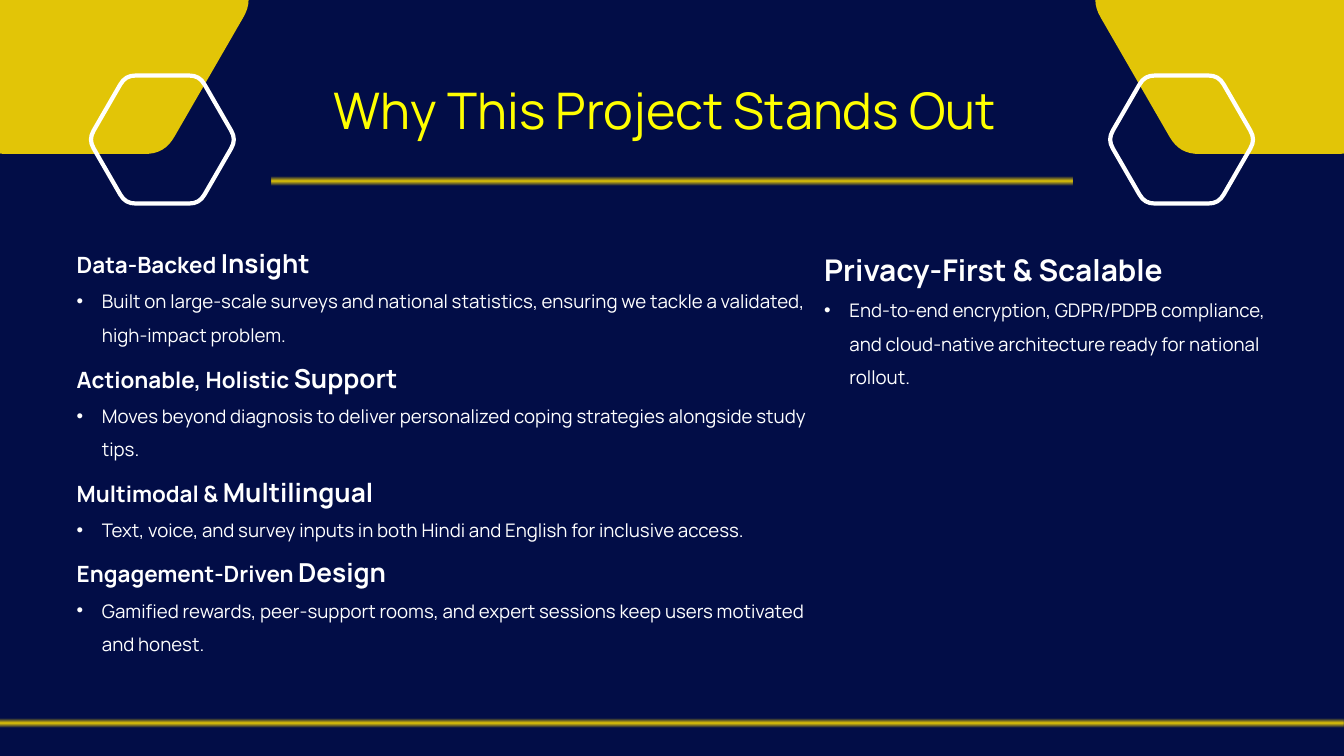
import math
from dataclasses import dataclass
from typing import Any, Optional

import lxml.etree
import pptx
import pptx.dml.color
import pptx.enum.shapes
import pptx.enum.text
import pptx.oxml.ns
import pptx.util

NAVY, GOLD, YELLOW, WHITE = "020D47", "E2C507", "FFFF00", "FFFFFF"
W, H = 1440, 810
MARGINS = ("margin_left", "margin_top", "margin_right", "margin_bottom")


@dataclass
class Hexagon:
    cx: float
    cy: float
    radius: float
    rounding: float
    fill: Optional[str] = None
    line: Optional[str] = None


@dataclass
class Bar:
    left: float
    top: float
    width: float
    height: float = 9.5


@dataclass
class Point:
    heading: list[tuple[str, float]]
    detail: str


def pt(value: float) -> int:
    return pptx.util.Pt(value)


def color(value: str) -> pptx.dml.color.RGBColor:
    return pptx.dml.color.RGBColor.from_string(value)


def apply(obj: Any, values: dict[str, Any]) -> None:
    for name, value in values.items():
        setattr(obj, name, value)


def add_node(parent: Any, tag: str, **attrs: str) -> Any:
    return lxml.etree.SubElement(parent, pptx.oxml.ns.qn(tag), attrs)


def rounded_corners(h: Hexagon) -> list[list[tuple[float, float]]]:
    corners = [(h.radius * math.cos(math.pi * i / 3),
                h.radius * math.sin(math.pi * i / 3)) for i in range(6)]
    near, far = 0.3 * h.rounding / h.radius, h.rounding / h.radius
    curves = []
    for i, corner in enumerate(corners):
        before, after = corners[i - 1], corners[(i + 1) % 6]
        curves.append([tuple(c + (n - c) * share for c, n in zip(corner, side))
                       for side, share in ((before, far), (before, near),
                                           (after, near), (after, far))])
    return curves


def draw_hexagon(s: Any, h: Hexagon) -> None:
    curves = rounded_corners(h)
    half_w = max(x for curve in curves for x, y in curve)
    half_h = max(y for curve in curves for x, y in curve)
    fb = s.shapes.build_freeform(pt(h.cx - half_w), pt(h.cy - half_h))
    fb.add_line_segments([(pt(h.cx + half_w), pt(h.cy + half_h))], close=True)
    sp = fb.convert_to_shape()
    outline = sp._element.find(".//" + pptx.oxml.ns.qn("a:path"))
    for child in list(outline):
        outline.remove(child)
    for i, curve in enumerate(curves):
        for tag, points in (("a:lnTo" if i else "a:moveTo", curve[:1]),
                            ("a:cubicBezTo", curve[1:])):
            segment = add_node(outline, tag)
            for x, y in points:
                add_node(segment, "a:pt", x=str(int(pt(x + half_w))), y=str(int(pt(y + half_h))))
    add_node(outline, "a:close")
    sp.shadow.inherit = False
    if h.fill:
        sp.fill.solid()
        sp.fill.fore_color.rgb = color(h.fill)
    else:
        sp.fill.background()
    if h.line:
        sp.line.color.rgb = color(h.line)
        sp.line.width = pt(4.5)
    else:
        sp.line.fill.background()


def draw_bar(s: Any, bar: Bar) -> None:
    sp = s.shapes.add_shape(pptx.enum.shapes.MSO_SHAPE.RECTANGLE, pt(bar.left),
                            pt(bar.top), pt(bar.width), pt(bar.height))
    sp.shadow.inherit = False
    sp.line.fill.background()
    sp.fill.gradient()
    grad = sp.fill._fill._gradFill
    for child in list(grad):
        grad.remove(child)
    stops = add_node(grad, "a:gsLst")
    for pos, alpha in ((0, 0), (50000, 100000), (100000, 0)):
        stop = add_node(stops, "a:gs", pos=str(pos))
        clr = add_node(stop, "a:srgbClr", val=GOLD)
        add_node(clr, "a:alpha", val=str(alpha))
    add_node(grad, "a:lin", ang="5400000", scaled="0")


def add_text_frame(s: Any, box: tuple, insets: tuple = (0, 0, 0, 0)) -> Any:
    tf = s.shapes.add_textbox(*map(pt, box)).text_frame
    apply(tf, {"word_wrap": True,
               "auto_size": pptx.enum.text.MSO_AUTO_SIZE.SHAPE_TO_FIT_TEXT,
               **dict(zip(MARGINS, map(pt, insets)))})
    return tf


def add_run(p: Any, text: str, size: float, rgb: str = WHITE, bold: bool = False) -> None:
    r = p.add_run()
    r.text = text
    apply(r.font, {"name": "Manrope", "size": pt(size), "bold": bold})
    r.font.color.rgb = color(rgb)


def add_bullet(p: Any) -> None:
    ppr = p._p.get_or_add_pPr()
    ppr.set("marL", str(int(pt(27))))
    ppr.set("indent", str(int(pt(-27))))
    add_node(ppr, "a:buFont", typeface="Arial")
    add_node(ppr, "a:buChar", char="•")


def fill_points(tf: Any, points: list[Point]) -> None:
    for i, point in enumerate(points):
        p = tf.add_paragraph() if i else tf.paragraphs[0]
        p.line_spacing = 1.5
        for text, size in point.heading:
            add_run(p, text, size, bold=True)
        p = tf.add_paragraph()
        add_bullet(p)
        p.line_spacing = 1.5
        add_run(p, point.detail, 20)


LEFT_POINTS = [
    Point([("Data-Backed ", 24), ("Insight", 28)],
          "Built on large-scale surveys and national statistics, ensuring we tackle "
          "a validated, high-impact problem."),
    Point([("Actionable, Holistic ", 24), ("Support", 28)],
          "Moves beyond diagnosis to deliver personalized coping strategies "
          "alongside study tips."),
    Point([("Multimodal & ", 24), ("Multilingual", 28)],
          "Text, voice, and survey inputs in both Hindi and English for inclusive access."),
    Point([("Engagement-Driven ", 24), ("Design", 28)],
          "Gamified rewards, peer-support rooms, and expert sessions keep users "
          "motivated and honest."),
]
RIGHT_POINTS = [
    Point([("Privacy-First & Scalable", 32)],
          "End-to-end encryption, GDPR/PDPB compliance, and cloud-native architecture "
          "ready for national rollout."),
]


def main() -> None:
    prs = pptx.Presentation()
    apply(prs, {"slide_width": pt(W), "slide_height": pt(H)})
    s = prs.slides.add_slide(prs.slide_layouts[6])
    s.background.fill.solid()
    s.background.fill.fore_color.rgb = color(NAVY)

    p = add_text_frame(s, (265.5, 81, 894, 66.4)).paragraphs[0]
    apply(p, {"alignment": pptx.enum.text.PP_ALIGN.CENTER, "line_spacing": pt(68.1)})
    add_run(p, "Why This Project Stands Out", 54, YELLOW)
    fill_points(add_text_frame(s, (82.2, 248.5, 783.5, 454.5)), LEFT_POINTS)

    for cx in (81, W - 81):
        draw_hexagon(s, Hexagon(cx, 0, 190.5, 21.6, fill=GOLD))
    for cx in (174, W - 174):
        draw_hexagon(s, Hexagon(cx, 149.5, 79.2, 11.2, line=WHITE))
    for bar in (Bar(291, 189.5, W - 2 * 291), Bar(0, 769.5, W)):
        draw_bar(s, bar)

    fill_points(add_text_frame(s, (876, 247, 510, 171.5), (7.2, 3.6, 7.2, 3.6)), RIGHT_POINTS)
    prs.save("out.pptx")


if __name__ == "__main__":
    main()
